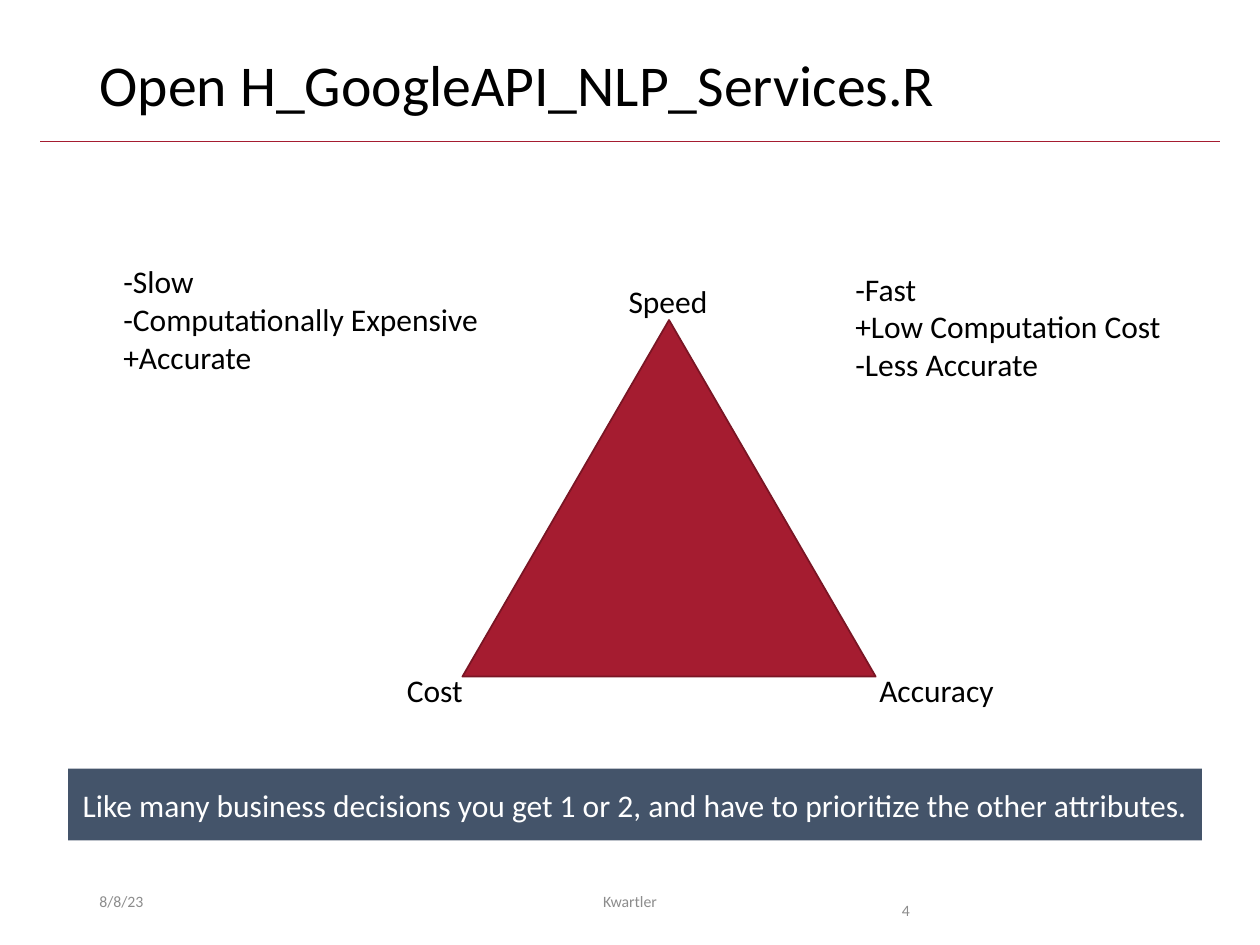
import pptx
import pptx.util
import pptx.dml.color
import pptx.enum.shapes
import pptx.enum.text
import pptx.oxml.ns
from lxml import etree

Inches = pptx.util.Inches
Pt = pptx.util.Pt
SHAPE = pptx.enum.shapes.MSO_SHAPE
ANCHOR = pptx.enum.text.MSO_ANCHOR
ALIGN = pptx.enum.text.PP_ALIGN
AUTO = pptx.enum.text.MSO_AUTO_SIZE


def rgb(value):
    return pptx.dml.color.RGBColor.from_string(value)


class Deck:
    font = "Calibri"
    black, white, gray = "000000", "FFFFFF", "8C8C8C"
    crimson, dark_crimson, slate = "A51C30", "7A1524", "44546A"

    def __init__(self, prs):
        self.s = prs.slides.add_slide(prs.slide_layouts[5])

    def add_lines(self, tf, lines, size, color, align=ALIGN.LEFT, spacing=None):
        for i, line in enumerate(lines):
            p = tf.add_paragraph() if i else tf.paragraphs[0]
            p.alignment = align
            if spacing:
                p.line_spacing = spacing
            r = p.add_run()
            r.text = line
            r.font.name = self.font
            r.font.size = Pt(size)
            r.font.color.rgb = rgb(color)

    def title(self, text, x, y, w, h):
        sp = self.s.shapes.title
        sp.left, sp.top, sp.width, sp.height = map(Inches, (x, y, w, h))
        tf = sp.text_frame
        tf.vertical_anchor = ANCHOR.TOP
        tf.auto_size = AUTO.NONE
        self.add_lines(tf, [text], 33, self.black, spacing=0.9)

    def label(self, lines, x, y, w, h):
        sp = self.s.shapes.add_textbox(*map(Inches, (x, y, w, h)))
        tf = sp.text_frame
        tf.word_wrap = False
        tf.auto_size = AUTO.SHAPE_TO_FIT_TEXT
        self.add_lines(tf, lines, 18, self.black)

    def footer(self, text, x, w, anchor=ANCHOR.MIDDLE, align=ALIGN.LEFT, spacing=None):
        sp = self.s.shapes.add_textbox(Inches(x), Inches(6.95), Inches(w), Inches(0.4))
        tf = sp.text_frame
        tf.word_wrap = True
        tf.vertical_anchor = anchor
        self.add_lines(tf, [text], 9, self.gray, align, spacing)

    def shape(self, kind, x, y, w, h, fill, line=None):
        sp = self.s.shapes.add_shape(kind, *map(Inches, (x, y, w, h)))
        sp.shadow.inherit = False
        sp.fill.solid()
        sp.fill.fore_color.rgb = rgb(fill)
        if line:
            sp.line.color.rgb = rgb(line)
            sp.line.width = Pt(1)
        else:
            sp.line.fill.background()
        return sp

    def band(self, text, x, y, w, h):
        tf = self.shape(SHAPE.RECTANGLE, x, y, w, h, self.slate).text_frame
        tf.word_wrap = True
        tf.vertical_anchor = ANCHOR.MIDDLE
        self.add_lines(tf, [text], 18, self.white, ALIGN.CENTER)

    def rule(self, x1, x2, y):
        c = self.s.shapes.add_connector(
            pptx.enum.shapes.MSO_CONNECTOR.STRAIGHT,
            Inches(x1), Inches(y), Inches(x2), Inches(y))
        c.line.color.rgb = rgb(self.crimson)
        c.line.width = Pt(0.5)
        etree.SubElement(c._element.spPr, pptx.oxml.ns.qn("a:effectLst"))


def main():
    prs = pptx.Presentation()
    prs.slide_width, prs.slide_height = Inches(10), Inches(7.5)
    d = Deck(prs)
    d.rule(0.32, 9.68, 1.12)
    d.title("Open H_GoogleAPI_NLP_Services.R", 0.69, 0.4, 8.62, 0.65)
    d.footer("8/8/23", 0.69, 2.25)
    d.footer("4", 7.06, 0.94, anchor=ANCHOR.TOP, spacing=2.0)
    d.footer("Kwartler", 3.31, 3.38, align=ALIGN.CENTER)
    d.shape(SHAPE.ISOSCELES_TRIANGLE, 3.67, 2.54, 3.28, 2.83, d.crimson, d.dark_crimson)
    d.label(["Speed"], 4.89, 2.19, 0.84, 0.4)
    d.label(["Cost"], 3.13, 5.28, 0.65, 0.4)
    d.label(["Accuracy"], 6.88, 5.28, 1.12, 0.4)
    d.label(["-Fast", "+Low Computation Cost", "-Less Accurate"], 6.69, 2.09, 2.66, 1.01)
    d.label(["-Slow", "-Computationally Expensive", "+Accurate"], 0.88, 2.03, 3.05, 1.01)
    d.band("Like many business decisions you get 1 or 2, and have to prioritize "
           "the other attributes.", 0.54, 6.1, 9, 0.57)
    prs.save("out.pptx")


if __name__ == "__main__":
    main()
